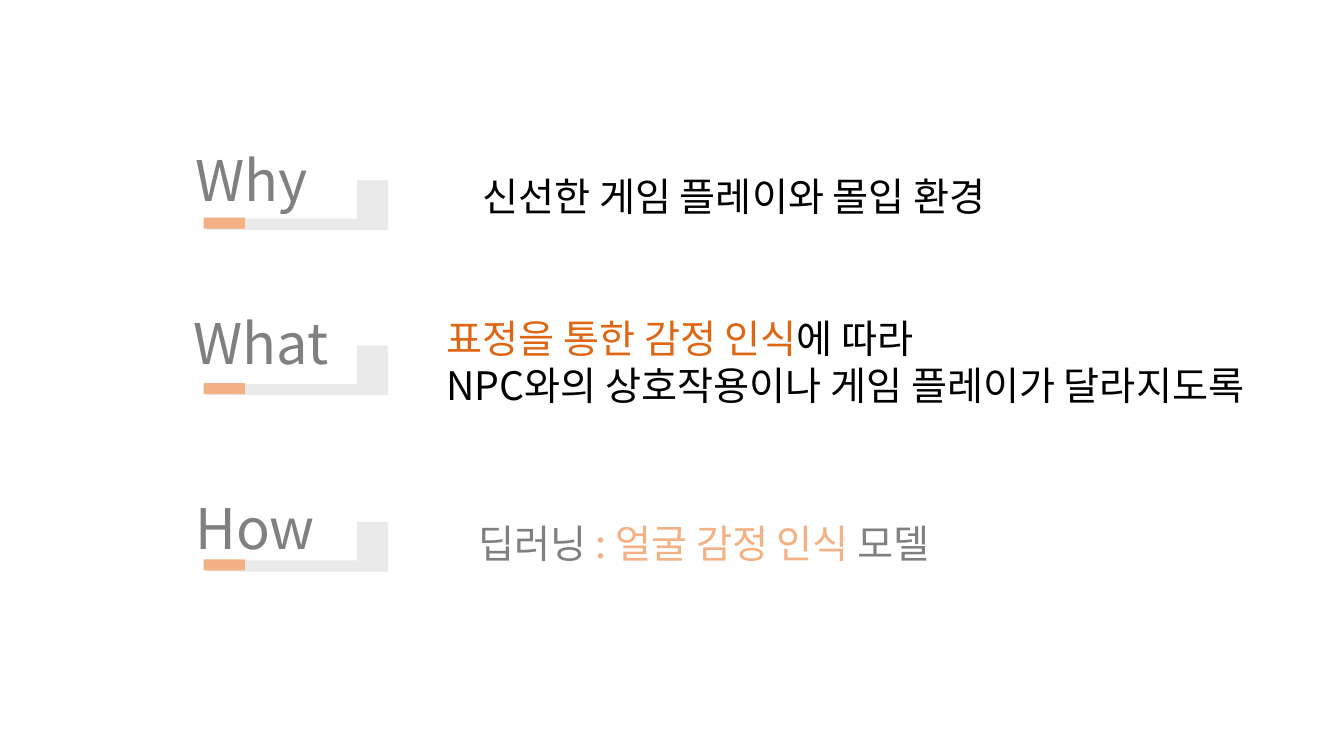
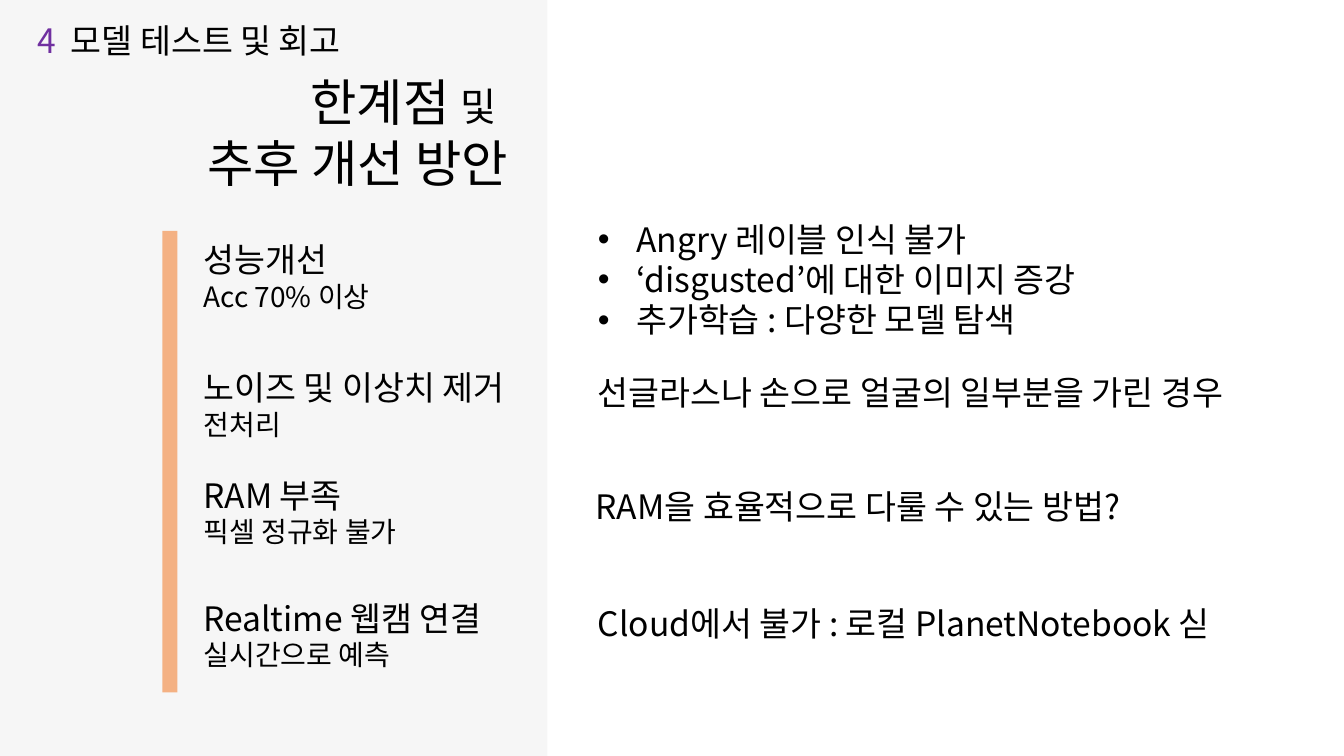
import dataclasses

import pptx
import pptx.dml.color
import pptx.enum.shapes
import pptx.enum.text
import pptx.oxml.ns
import pptx.util
from lxml import etree

Inches = pptx.util.Inches
Pt = pptx.util.Pt
ALIGN = pptx.enum.text.PP_ALIGN


@dataclasses.dataclass(frozen=True)
class Theme:
    """Colours, type sizes and font shared by the slides."""
    font: str = "Noto Sans CJK KR"
    text: str = "000000"
    muted: str = "808080"
    panel: str = "D9D9D9"
    paper: str = "FFFFFF"
    bar: str = "F4B183"
    accent: str = "DF6613"
    number: str = "7030A0"
    label: int = 40
    title: int = 36
    statement: int = 28
    body: int = 24
    detail: int = 20


T = Theme()


def rgb(color):
    """Return the colour object for a hex string."""
    return pptx.dml.color.RGBColor.from_string(color)


def add_sub(parent, tag, **attrs):
    """Append an XML child with the given attributes."""
    return etree.SubElement(parent, pptx.oxml.ns.qn(tag), attrs)


def add_rect(s, box, color, alpha=None):
    """Add a plain rectangle, optionally translucent (alpha in percent)."""
    sp = s.shapes.add_shape(pptx.enum.shapes.MSO_SHAPE.RECTANGLE, *map(Inches, box))
    sp.shadow.inherit = False
    sp.fill.solid()
    sp.fill.fore_color.rgb = rgb(color)
    sp.line.fill.background()
    if alpha is not None:
        clr = sp._element.spPr.find(".//" + pptx.oxml.ns.qn("a:srgbClr"))
        add_sub(clr, "a:alpha", val=str(alpha * 1000))


def style_paragraph(p, size, color, align):
    """Set the common font, spacing and alignment of a paragraph."""
    p.alignment = align
    p.space_before = Pt(0)
    p.font.name = T.font
    p.font.size = Pt(size)
    p.font.color.rgb = rgb(color)
    add_sub(p._p.pPr.find(pptx.oxml.ns.qn("a:defRPr")), "a:ea", typeface=T.font)


def write(tf, paragraphs, color=T.text, align=ALIGN.LEFT):
    """Fill a frame with (size, runs); a run is (text, overrides) or a string."""
    tf.word_wrap = True
    tf.vertical_anchor = pptx.enum.text.MSO_ANCHOR.TOP
    for i, (size, runs) in enumerate(paragraphs):
        p = tf.paragraphs[0] if i == 0 else tf.add_paragraph()
        style_paragraph(p, size, color, align)
        for run in runs:
            text, style = (run, {}) if isinstance(run, str) else run
            r = p.add_run()
            r.text = text
            if "color" in style:
                r.font.color.rgb = rgb(style["color"])
            if "size" in style:
                r.font.size = Pt(style["size"])


def add_text(s, box, paragraphs, **style):
    """Add a text box that grows with its text."""
    tf = s.shapes.add_textbox(*map(Inches, box)).text_frame
    write(tf, paragraphs, **style)
    tf.auto_size = pptx.enum.text.MSO_AUTO_SIZE.SHAPE_TO_FIT_TEXT


def fill_placeholder(sp, box, paragraphs, **style):
    """Move a placeholder and fill it with text."""
    sp.left, sp.top, sp.width, sp.height = map(Inches, box)
    sp.text_frame.auto_size = pptx.enum.text.MSO_AUTO_SIZE.NONE
    write(sp.text_frame, paragraphs, **style)


def set_bullets(tf):
    """Give every paragraph a bullet and a hanging indent."""
    indent = Inches(0.38)
    for p in tf.paragraphs:
        pPr = p._p.get_or_add_pPr()
        pPr.set("marL", str(indent))
        pPr.set("indent", str(-indent))
        bullet = add_sub(pPr, "a:buChar", char="•")
        pPr.find(pptx.oxml.ns.qn("a:defRPr")).addprevious(bullet)


def add_corner_label(s, top, label, x, y):
    """Add a keyword on a grey corner with an orange accent."""
    add_rect(s, (2.05, top, 1.8, 0.49), T.panel, alpha=55)
    add_rect(s, (1.82, top - 0.33, 1.72, 0.71), T.paper)
    add_rect(s, (2.02, top + 0.37, 0.41, 0.11), T.bar)
    add_text(s, (x, y, 1.7, 0.77), [(T.label, [label])], color=T.muted)


def build_overview(prs):
    """Build the why, what and how slide."""
    s = prs.slides.add_slide(prs.slide_layouts[6])
    for corner in [(1.79, "Why", 1.84, 1.39), (3.43, "What", 1.82, 3.01),
                   (5.18, "How", 1.84, 4.85)]:
        add_corner_label(s, *corner)
    add_text(s, (4.33, 1.66, 5.9, 0.57),
             [(T.statement, ["신선한 게임 플레이와 몰입 환경"])], align=ALIGN.CENTER)
    add_text(s, (4.33, 3.07, 8.18, 1.04), [
        (T.statement, [("표정을 통한 감정 인식", {"color": T.accent}), "에 따라"]),
        (T.statement, ["NPC와의 상호작용이나 게임 플레이가 달라지도록"])])
    add_text(s, (4.65, 5.1, 6.49, 0.57), [
        (T.statement, ["딥러닝 ", (": 얼굴 감정 인식 ", {"color": T.bar}), "모델"])],
        color=T.muted)


def build_improvements(prs):
    """Build the limits and improvements slide."""
    s = prs.slides.add_slide(prs.slide_layouts[1])
    title, body = s.placeholders
    add_rect(s, (0, 0, 5.43, 7.5), T.panel, alpha=21)
    s.shapes._spTree.insert(2, s.shapes[-1]._element)
    add_rect(s, (1.61, 2.29, 0.15, 4.58), T.bar)
    add_text(s, (0.27, 0.15, 4, 0.5),
             [(T.body, [("4  ", {"color": T.number}), "모델 테스트 및 회고"])])
    fill_placeholder(title, (0, 0.66, 5.14, 1.31), [
        (T.title, ["한계점 ", ("및", {"size": T.statement}), " "]),
        (T.title, ["추후 개선 방안"])], align=ALIGN.RIGHT)
    fill_placeholder(body, (5.83, 2.12, 5.86, 1.31), [
        (T.body, [text]) for text in ("Angry 레이블 인식 불가",
                                      "‘disgusted’에 대한 이미지 증강",
                                      "추가학습 : 다양한 모델 탐색")])
    set_bullets(body.text_frame)
    for top, width, topic, detail in [
            (2.32, 2.6, "성능개선", "Acc 70% 이상"),
            (3.59, 3.25, "노이즈 및 이상치 제거", "전처리"),
            (4.66, 3.25, "RAM 부족", "픽셀 정규화 불가"),
            (5.88, 3.02, "Realtime 웹캠 연결", "실시간으로 예측")]:
        add_text(s, (1.92, top, width, 0.84), [(T.body, [topic]), (T.detail, [detail])])
    for left, top, width, text in [
            (5.83, 3.64, 7.2, "선글라스나 손으로 얼굴의 일부분을 가린 경우"),
            (5.81, 4.77, 5.58, "RAM을 효율적으로 다룰 수 있는 방법?"),
            (5.83, 5.93, 6.61, "Cloud에서 불가 : 로컬 PlanetNotebook 싣")]:
        add_text(s, (left, top, width, 0.5), [(T.body, [text])])


def main():
    """Create and save the presentation."""
    prs = pptx.Presentation()
    prs.slide_width = Inches(13.33)
    prs.slide_height = Inches(7.5)
    build_overview(prs)
    build_improvements(prs)
    prs.save("out.pptx")


if __name__ == "__main__":
    main()
